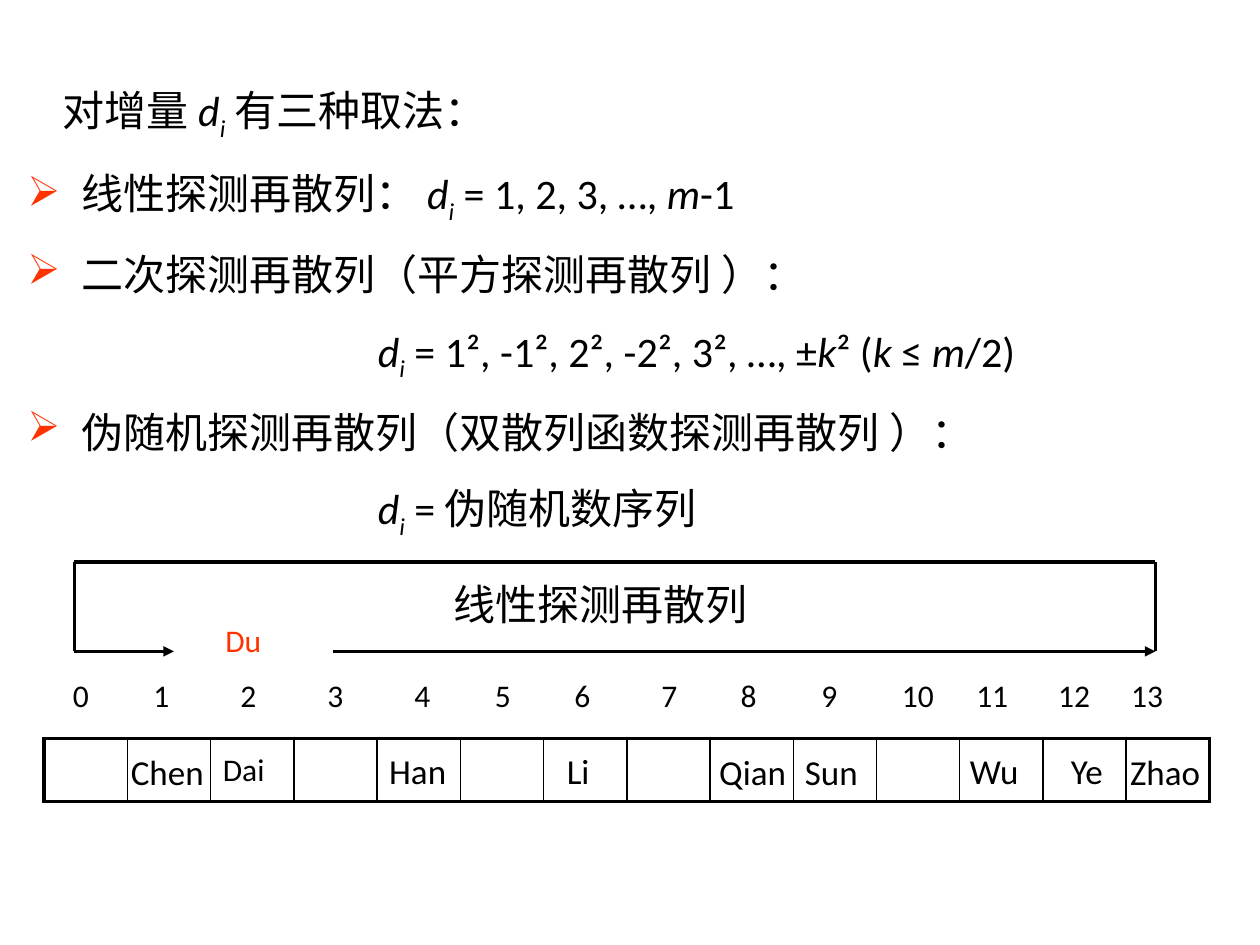
"""Build the slide on probing increments and the linear probing hash table."""
from dataclasses import dataclass

import lxml.etree
import pptx
import pptx.dml.color
import pptx.enum.shapes
import pptx.enum.text
import pptx.oxml.ns
import pptx.util

Inches = pptx.util.Inches
Pt = pptx.util.Pt
qn = pptx.oxml.ns.qn


@dataclass(frozen=True)
class Theme:
    ink: str = "000000"
    accent: str = "FF3300"
    latin: str = "Calibri"
    chinese: str = "Noto Sans CJK SC"
    body: int = 24
    entry: int = 20
    small: int = 18
    outer: float = 2.25
    inner: float = 1
    arrow: float = 2


theme = Theme()


def add_span(para, text, size, style="", color=theme.ink):
    span = para.add_run()
    span.text = text
    span.font.size = Pt(size)
    span.font.italic = style in ("italic", "sub")
    span.font.color.rgb = pptx.dml.color.RGBColor.from_string(color)
    span.font.name = theme.chinese if style == "chinese" else theme.latin
    properties = span.font._element
    lxml.etree.SubElement(properties, qn("a:ea"), typeface=theme.chinese)
    if style == "sub":
        properties.set("baseline", "-25000")


def add_label(page, left, top, width, height, text, size, color=theme.ink):
    box = page.shapes.add_textbox(Inches(left), Inches(top), Inches(width), Inches(height))
    box.text_frame.word_wrap = False
    box.text_frame.auto_size = pptx.enum.text.MSO_AUTO_SIZE.SHAPE_TO_FIT_TEXT
    para = box.text_frame.paragraphs[0]
    add_span(para, text, size, color=color)
    return para


deck = pptx.Presentation()
deck.slide_width, deck.slide_height = Inches(10), Inches(7.5)
page = deck.slides.add_slide(deck.slide_layouts[6])

increment = [("d", "italic"), ("i", "sub")]
methods = [
    (0.28, False, [("对增量 ", "")] + increment + [(" 有三种取法：", "")]),
    (0.43, True, [("线性探测再散列： ", "")] + increment
     + [(" = 1, 2, 3, …, ", ""), ("m", "italic"), ("-1", "")]),
    (0.43, True, [("二次探测再散列（", ""), ("平方探测再散列 ", "chinese"), ("）：", "")]),
    (2.78, False, increment
     + [(" = 1², -1², 2², -2², 3², …, ±", ""), ("k", "italic"), ("² (", ""),
        ("k ", "italic"), ("≤ ", ""), ("m", "italic"), ("/2)", "")]),
    (0.43, True, [("伪随机探测再散列（", ""), ("双散列函数探测再散列 ", "chinese"), ("）：", "")]),
    (2.78, False, increment + [(" = 伪随机数序列", "")]),
]
box = page.shapes.add_textbox(Inches(0.12), Inches(0.6), Inches(9.5), Inches(3.62))
frame = box.text_frame
frame.word_wrap = True
frame.vertical_anchor = pptx.enum.text.MSO_ANCHOR.MIDDLE
for number, (indent, bulleted, spans) in enumerate(methods):
    para = frame.add_paragraph() if number else frame.paragraphs[0]
    para.line_spacing = 1.3
    para.space_before = Pt(5 if number else 0)
    properties = para._p.get_or_add_pPr()
    properties.set("marL", str(Inches(indent)))
    properties.set("indent", str(-Inches(indent) if bulleted else 0))
    if bulleted:
        bullet_color = lxml.etree.SubElement(properties, qn("a:buClr"))
        lxml.etree.SubElement(bullet_color, qn("a:srgbClr"), val=theme.accent)
        lxml.etree.SubElement(properties, qn("a:buChar"), char="➢")
    for text, style in spans:
        add_span(para, text, theme.body, style)

index_stops = [0.64, 1.33, 2.02, 2.71, 3.35, 3.98, 4.67, 5.3, 5.94, 6.58, 7.17, 7.82, 8.4]
slots = len(index_stops) + 1
indices = add_label(page, 0.48, 5.32, 9.1, 0.4, "\t".join(map(str, range(slots))), theme.small)
tab_list = lxml.etree.SubElement(indices._p.get_or_add_pPr(), qn("a:tabLst"))
for stop in index_stops:
    lxml.etree.SubElement(tab_list, qn("a:tab"), pos=str(Inches(stop)), algn="l")

table = page.shapes.add_table(
    1, slots, Inches(0.35), Inches(5.86), Inches(9.25), Inches(0.5)).table
table.first_row = table.horz_banding = False
for column in range(slots):
    cell = table.cell(0, column)
    properties = cell._tc.get_or_add_tcPr()
    borders = {
        "a:lnL": theme.inner if column else theme.outer,
        "a:lnR": theme.inner if column < slots - 1 else theme.outer,
        "a:lnT": theme.outer,
        "a:lnB": theme.outer,
    }
    for side, width in borders.items():
        border = lxml.etree.SubElement(properties, qn(side), w=str(Pt(width)))
        fill = lxml.etree.SubElement(border, qn("a:solidFill"))
        lxml.etree.SubElement(fill, qn("a:srgbClr"), val=theme.ink)
    cell.fill.background()

entries = [
    ("Chen", 0.94, 5.91, 0.9), ("Zhao", 8.87, 5.91, 0.89), ("Qian", 5.61, 5.91, 0.85),
    ("Sun", 6.29, 5.91, 0.73), ("Li", 4.4, 5.9, 0.53), ("Wu", 7.6, 5.9, 0.7),
    ("Han", 2.99, 5.9, 0.78), ("Ye", 8.4, 5.9, 0.59),
]
for name, left, top, width in entries:
    add_label(page, left, top, width, 0.43, name, theme.entry)
add_label(page, 1.67, 6.01, 0.78, 0.34, "Dai", theme.small).line_spacing = 0.6
add_label(page, 3.5, 4.54, 2.62, 0.5, "线性探测再散列", theme.body)

left, right, top, bottom = 0.59, 9.17, 4.46, 5.17
probe_path = [
    (right, bottom, right, top, False),
    (left, top, right, top, False),
    (left, bottom, left, top, False),
    (left, bottom, 1.38, bottom, True),
    (2.64, bottom, right, bottom, True),
]
for start_x, start_y, end_x, end_y, arrowed in probe_path:
    connector = page.shapes.add_connector(
        pptx.enum.shapes.MSO_CONNECTOR.STRAIGHT,
        Inches(start_x), Inches(start_y), Inches(end_x), Inches(end_y))
    connector.line.color.rgb = pptx.dml.color.RGBColor.from_string(theme.ink)
    connector.line.width = Pt(theme.arrow)
    if arrowed:
        lxml.etree.SubElement(connector.line._get_or_add_ln(), qn("a:tailEnd"), type="triangle")
    lxml.etree.SubElement(connector._element.spPr, qn("a:effectLst"))

add_label(page, 1.69, 4.88, 0.71, 0.5, "Du", theme.small, theme.accent)

deck.save("out.pptx")
